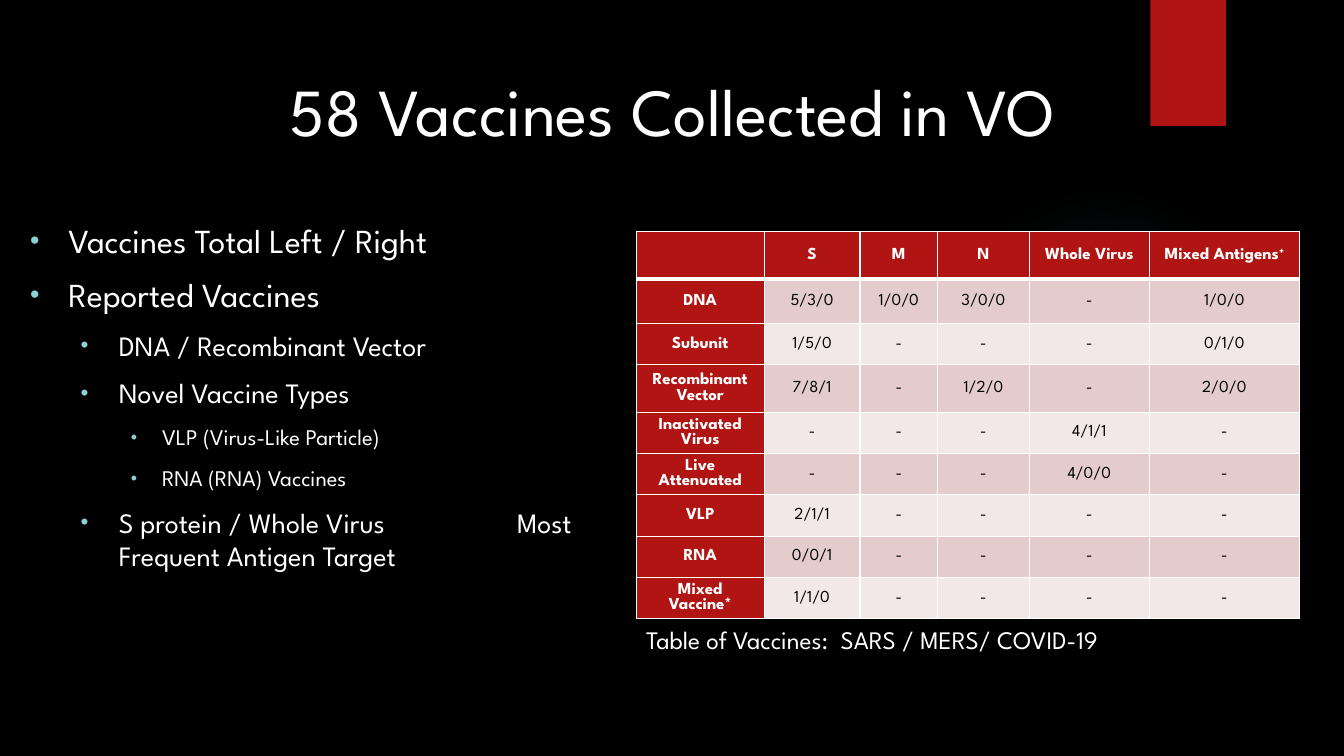
from dataclasses import dataclass

from lxml import etree
from pptx import Presentation
from pptx.dml.color import RGBColor
from pptx.enum.shapes import MSO_SHAPE
from pptx.enum.text import MSO_ANCHOR, PP_ALIGN
from pptx.oxml import parse_xml
from pptx.oxml.ns import nsdecls, qn
from pptx.util import Inches, Pt

RECTANGLE, ELLIPSE = MSO_SHAPE.RECTANGLE, MSO_SHAPE.OVAL
CENTER, LEFT = PP_ALIGN.CENTER, PP_ALIGN.LEFT
TOP, MIDDLE, BOTTOM = MSO_ANCHOR.TOP, MSO_ANCHOR.MIDDLE, MSO_ANCHOR.BOTTOM


@dataclass(frozen=True)
class Theme:
    font: str = "League Spartan"
    background: str = "000000"
    light: str = "FFFFFF"
    dark: str = "000000"
    accent: str = "B01513"
    glow: str = "50B9C1"
    bullet: str = "8AD0D6"
    bands: tuple = ("E4CCCC", "F2E8E7")
    title_size: int = 48
    caption_size: int = 18
    table_size: int = 12
    level_sizes: tuple = (24, 20, 16)
    level_indents: tuple = ((0.38, 0.38), (0.88, 0.38), (1.31, 0.31))


def write(paragraph, text, theme, size, color, bold=False, align=LEFT, raised=False):
    """Add one formatted run to a paragraph."""
    paragraph.alignment = align
    run = paragraph.add_run()
    run.text = text
    font = run.font
    font.name, font.size, font.bold = theme.font, Pt(size), bold
    font.color.rgb = RGBColor.from_string(color)
    if raised:
        font._element.set("baseline", "30000")


class SlideBuilder:
    def __init__(self, slide, theme):
        self.slide, self.theme = slide, theme
        slide.background.fill.solid()
        slide.background.fill.fore_color.rgb = RGBColor.from_string(theme.background)

    def shape(self, kind, box, color):
        shape = self.slide.shapes.add_shape(kind, *map(Inches, box))
        shape.shadow.inherit = False
        shape.fill.solid()
        shape.fill.fore_color.rgb = RGBColor.from_string(color)
        shape.line.fill.background()
        return shape

    def glow(self, box, stops):
        """Ellipse that fades out from its centre; stops are (position, opacity) in percent."""
        ellipse = self.shape(ELLIPSE, box, self.theme.glow)
        colors = "".join(
            f'<a:gs pos="{position * 1000}"><a:srgbClr val="{self.theme.glow}">'
            f'<a:alpha val="{opacity * 1000}"/></a:srgbClr></a:gs>'
            for position, opacity in stops)
        gradient = parse_xml(
            f'<a:gradFill {nsdecls("a")}><a:gsLst>{colors}</a:gsLst><a:path path="circle">'
            '<a:fillToRect l="50000" t="50000" r="50000" b="50000"/></a:path></a:gradFill>')
        properties = ellipse._element.spPr
        properties.replace(properties.find(qn("a:solidFill")), gradient)

    def frame(self, box, anchor=TOP):
        frame = self.slide.shapes.add_textbox(*map(Inches, box)).text_frame
        frame.word_wrap = True
        frame.vertical_anchor = anchor
        return frame

    def text(self, box, text, size, anchor=TOP, align=LEFT):
        write(self.frame(box, anchor).paragraphs[0], text, self.theme, size,
              self.theme.light, align=align)

    def bullets(self, box, items, tab_stop):
        frame = self.frame(box)
        for index, (level, text) in enumerate(items):
            paragraph = frame.paragraphs[0] if index == 0 else frame.add_paragraph()
            paragraph.level = level
            paragraph.space_before = Pt(10)
            write(paragraph, text, self.theme, self.theme.level_sizes[level], self.theme.light)
            margin, hanging = self.theme.level_indents[level]
            properties = paragraph._p.get_or_add_pPr()
            properties.set("marL", str(Inches(margin)))
            properties.set("indent", str(-Inches(hanging)))
            color = etree.SubElement(properties, qn("a:buClr"))
            etree.SubElement(color, qn("a:srgbClr"), val=self.theme.bullet)
            etree.SubElement(properties, qn("a:buSzPct"), val="80000")
            etree.SubElement(properties, qn("a:buFont"), typeface="Arial")
            etree.SubElement(properties, qn("a:buChar"), char="•")
            if "\t" in text:
                tabs = etree.SubElement(properties, qn("a:tabLst"))
                etree.SubElement(tabs, qn("a:tab"), pos=str(Inches(tab_stop)), algn="l")

    def borders(self, cell, bottom):
        properties = cell._tc.get_or_add_tcPr()
        widths = {"lnL": 1, "lnR": 1, "lnT": 1, "lnB": bottom}
        for index, (side, width) in enumerate(widths.items()):
            properties.insert(index, parse_xml(
                f'<a:{side} {nsdecls("a")} w="{Pt(width)}"><a:solidFill>'
                f'<a:srgbClr val="{self.theme.light}"/></a:solidFill></a:{side}>'))

    def table(self, box, rows, widths, heights):
        theme = self.theme
        table = self.slide.shapes.add_table(len(rows), len(widths), *map(Inches, box)).table
        for column, width in zip(table.columns, widths):
            column.width = Inches(width)
        for row, height in zip(table.rows, heights):
            row.height = Inches(height)
        for r, values in enumerate(rows):
            for c, value in enumerate(values):
                cell = table.cell(r, c)
                heading = r == 0 or c == 0
                cell.margin_left = cell.margin_right = Inches(0.15)
                cell.margin_top = cell.margin_bottom = 0
                cell.vertical_anchor = MIDDLE
                cell.fill.solid()
                cell.fill.fore_color.rgb = RGBColor.from_string(
                    theme.accent if heading else theme.bands[(r - 1) % 2])
                self.borders(cell, bottom=3 if r == 0 else 1)
                paragraph = cell.text_frame.paragraphs[0]
                paragraph.space_before = paragraph.space_after = Pt(3)
                label, mark, _ = value.partition("+")
                for part in filter(None, (label, mark)):
                    write(paragraph, part, theme, theme.table_size,
                          theme.light if heading else theme.dark,
                          bold=heading, align=CENTER, raised=part == "+")


VACCINE_COUNTS = [
    ("", "S", "M", "N", "Whole Virus", "Mixed Antigens+"),
    ("DNA", "5/3/0", "1/0/0", "3/0/0", "-", "1/0/0"),
    ("Subunit", "1/5/0", "-", "-", "-", "0/1/0"),
    ("Recombinant Vector", "7/8/1", "-", "1/2/0", "-", "2/0/0"),
    ("Inactivated Virus", "-", "-", "-", "4/1/1", "-"),
    ("Live Attenuated", "-", "-", "-", "4/0/0", "-"),
    ("VLP", "2/1/1", "-", "-", "-", "-"),
    ("RNA", "0/0/1", "-", "-", "-", "-"),
    ("Mixed Vaccine*", "1/1/0", "-", "-", "-", "-"),
]
FINDINGS = [
    (0, "Vaccines Total Left / Right"),
    (0, "Reported Vaccines"),
    (1, "DNA / Recombinant Vector"),
    (1, "Novel Vaccine Types"),
    (2, "VLP (Virus-Like Particle)"),
    (2, "RNA (RNA) Vaccines"),
    (1, "S protein / Whole Virus\tMost Frequent Antigen Target"),
]


def main():
    deck = Presentation()
    deck.slide_width, deck.slide_height = Inches(13.33), Inches(7.5)
    theme = Theme()
    builder = SlideBuilder(deck.slides.add_slide(deck.slide_layouts[6]), theme)

    # Backdrop
    builder.glow((9.41, 1.83, 3.08, 3.08), [(0, 7), (36, 6), (69, 0)])
    builder.shape(RECTANGLE, (11.41, 0, 0.75, 1.25), theme.accent)

    # Title
    builder.text((0.92, 0.61, 11.5, 0.93), "58 Vaccines Collected in VO",
                 theme.title_size, anchor=BOTTOM, align=CENTER)

    # Vaccine table and its caption
    builder.table((6.31, 2.3, 6.58, 3.87), VACCINE_COUNTS,
                  widths=(1.27, 0.95, 0.77, 0.91, 1.19, 1.49),
                  heights=(0.47, 0.44, 0.41, 0.47) + (0.41,) * 5)
    builder.text((6.31, 6.14, 6.5, 0.4), "Table of Vaccines:  SARS / MERS/ COVID-19",
                 theme.caption_size)

    # Findings
    builder.bullets((0.2, 2.13, 5.91, 4.59), FINDINGS, tab_stop=4.83)

    deck.save("out.pptx")


if __name__ == "__main__":
    main()
